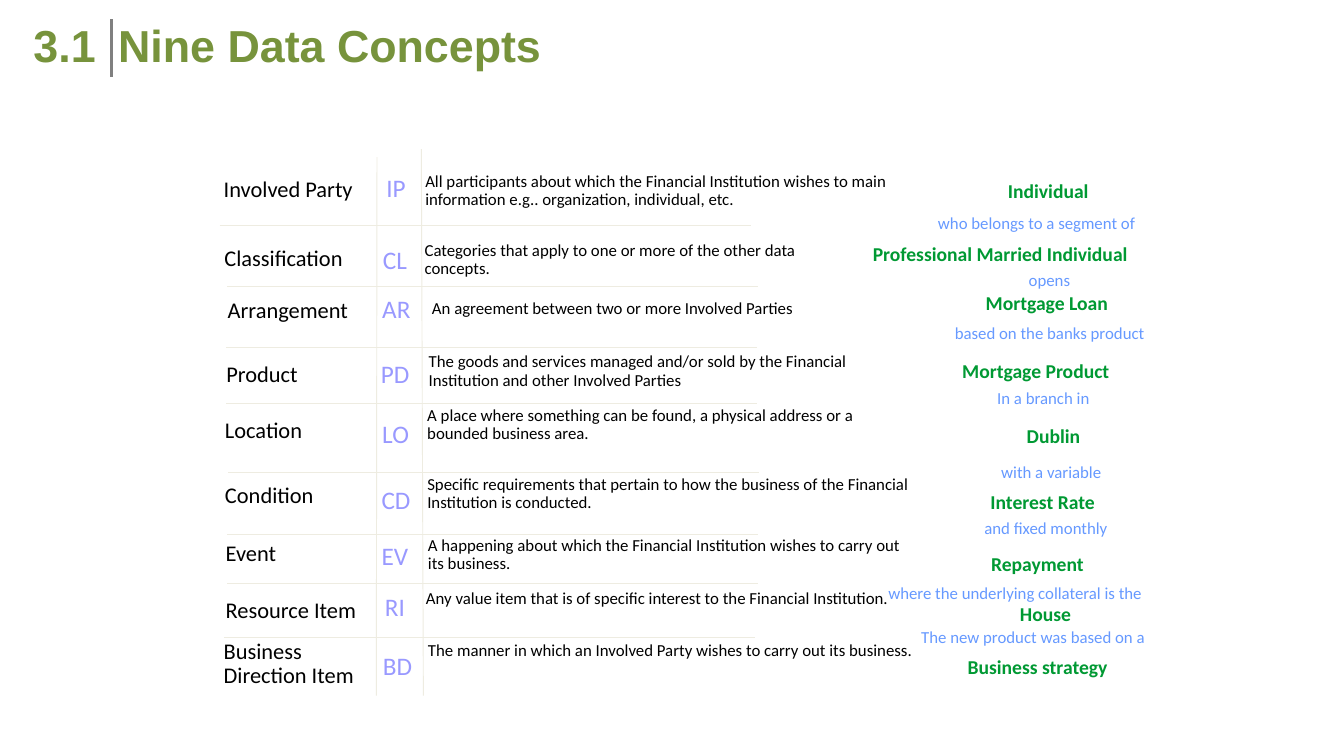
from pptx import Presentation
from pptx.dml.color import RGBColor
from pptx.enum.shapes import MSO_CONNECTOR, MSO_SHAPE
from pptx.enum.text import MSO_ANCHOR, MSO_AUTO_SIZE, PP_ALIGN
from pptx.oxml.ns import qn
from pptx.util import Emu, Pt
from lxml.etree import SubElement

PX = 9144

FORMATS = {
    "description": {"size": 18, "color": "000000", "wrap": True},
    "concept": {"size": 24, "color": "000000", "height": 46},
    "code": {"size": 27, "color": "9999FF", "height": 51},
    "example": {"size": 21, "color": "009933", "height": 42, "bold": True},
    "link": {"size": 18, "color": "6699FF", "height": 37},
    "title": {"size": 48, "color": "77933C", "height": 91, "bold": True,
              "name": "Arial", "wrap": True, "spacing": 1.0},
}

DESCRIPTIONS = [
    ("All participants about which the Financial Institution wishes to main information e.g.. "
     "organization, individual, etc.", 623, 253, 739, 65),
    ("Categories that apply to one or more of the other data concepts.", 622, 355, 634, 65),
    ("An agreement between two or more Involved Parties", 633, 441, 745, 37),
    ("The goods and services managed and/or sold by the Financial Institution and other "
     "Involved Parties", 628, 521, 671, 65),
    ("A place where something can be found, a physical address or a bounded business area.",
     626, 601, 743, 65),
    ("Specific requirements that pertain to how the business of the Financial Institution "
     "is conducted.", 626, 703, 739, 65),
    ("A happening about which the Financial Institution wishes to carry out its business.",
     627, 794, 730, 65),
    ("Any value item that is of specific interest to the Financial Institution.",
     624, 873, 749, 37),
    ("The manner in which an Involved Party wishes to carry out its business.",
     627, 950, 775, 37),
]

CONCEPTS = [
    ("Involved Party", 323, 260, 214),
    ("Classification", 324, 363, 198),
    ("Arrangement", 329, 441, 201),
    ("Product", 327, 536, 127),
    ("Location", 325, 619, 136),
    ("Condition", 325, 716, 153),
    ("Event", 326, 802, 96),
    ("Resource Item", 326, 887, 216),
]

CODES = [
    ("IP", 565, 256, 49),
    ("CL", 560, 363, 56),
    ("AR", 559, 437, 63),
    ("PD", 557, 533, 63),
    ("LO", 559, 623, 60),
    ("CD", 558, 721, 64),
    ("EV", 558, 804, 60),
    ("RI", 563, 880, 50),
    ("BD", 560, 968, 64),
]

EXAMPLES = [
    ("Individual", 1490, 266, 141),
    ("Professional Married Individual", 1289, 359, 403),
    ("Mortgage Loan", 1457, 432, 204),
    ("Mortgage Product", 1422, 533, 241),
    ("Dublin", 1518, 630, 100),
    ("Interest Rate", 1464, 728, 177),
    ("Repayment", 1465, 820, 160),
    ("House", 1508, 895, 97),
]

LINKS = [
    ("who belongs to a segment of", 1386, 315, 317),
    ("opens", 1521, 400, 83),
    ("based on the banks product", 1411, 478, 306),
    ("In a branch in", 1474, 576, 159),
    ("with a variable", 1480, 686, 171),
    ("and fixed monthly", 1455, 769, 211),
    ("where the underlying collateral is the", 1312, 865, 402),
    ("The new product was based on a", 1361, 931, 363),
]

ROW_WIDTH = 790
ROW_RULES = [(327, 336), (338, 427), (337, 517), (337, 600),
             (340, 703), (338, 795), (338, 868), (334, 948)]
COLUMN_RULES = [(561, 234, 560, 1035), (627, 222, 630, 1035)]


def px(*lengths):
    return [Emu(length * PX) for length in lengths]


def rgb(value):
    return RGBColor.from_string(value)


def write_text(holder, kind, text):
    style = FORMATS[kind]
    frame = holder.text_frame
    frame_values = {
        "word_wrap": style.get("wrap", False),
        "auto_size": MSO_AUTO_SIZE.SHAPE_TO_FIT_TEXT,
        "vertical_anchor": MSO_ANCHOR.TOP,
    }
    for attribute, value in frame_values.items():
        setattr(frame, attribute, value)
    paragraph = frame.paragraphs[0]
    paragraph.alignment = PP_ALIGN.LEFT
    paragraph.line_spacing = style.get("spacing", 0.9)
    run = paragraph.add_run()
    run.text = text
    font_values = {
        "name": style.get("name", "Calibri"),
        "size": Pt(style["size"]),
        "bold": style.get("bold", False),
    }
    for attribute, value in font_values.items():
        setattr(run.font, attribute, value)
    run.font.color.rgb = rgb(style["color"])


def add_label(slide, kind, text, left, top, width, height=None):
    height = height or FORMATS[kind]["height"]
    label = slide.shapes.add_textbox(*px(left, top, width, height))
    write_text(label, kind, text)


def add_panel(slide, kind, text, left, top, width):
    panel = slide.shapes.add_shape(
        MSO_SHAPE.RECTANGLE, *px(left, top, width, FORMATS[kind]["height"]))
    panel.shadow.inherit = False
    panel.fill.solid()
    panel.fill.fore_color.rgb = rgb("FFFFFF")
    panel.line.fill.background()
    write_text(panel, kind, text)


def add_rule(slide, x1, y1, x2, y2, color="EEECE1", weight=1):
    rule = slide.shapes.add_connector(MSO_CONNECTOR.STRAIGHT, *px(x1, y1, x2, y2))
    rule.line.color.rgb = rgb(color)
    rule.line.width = Pt(weight)
    SubElement(rule._element.spPr, qn("a:effectLst"))


def main():
    deck = Presentation()
    deck.slide_width, deck.slide_height = px(2000, 1125)
    slide = deck.slides.add_slide(deck.slide_layouts[6])

    for description in DESCRIPTIONS:
        add_label(slide, "description", *description)
    for concept in CONCEPTS:
        add_label(slide, "concept", *concept)
    FORMATS["concept"]["wrap"] = True
    add_label(slide, "concept", "Business Direction Item", 323, 947, 237, 83)

    for left, top in ROW_RULES:
        add_rule(slide, left, top, left + ROW_WIDTH, top)
    for column_rule in COLUMN_RULES:
        add_rule(slide, *column_rule)

    for code in CODES:
        add_label(slide, "code", *code)
    for example in EXAMPLES:
        add_label(slide, "example", *example)
    add_panel(slide, "example", "Business strategy", 1430, 973, 231)
    for link in LINKS:
        add_label(slide, "link", *link)

    add_label(slide, "title", "3.1", 40, 22, 114)
    add_label(slide, "title", "Nine Data Concepts", 166, 22, 1785)
    add_rule(slide, 166, 29, 166, 115, "808080", 2.25)
    deck.save("out.pptx")


if __name__ == "__main__":
    main()
